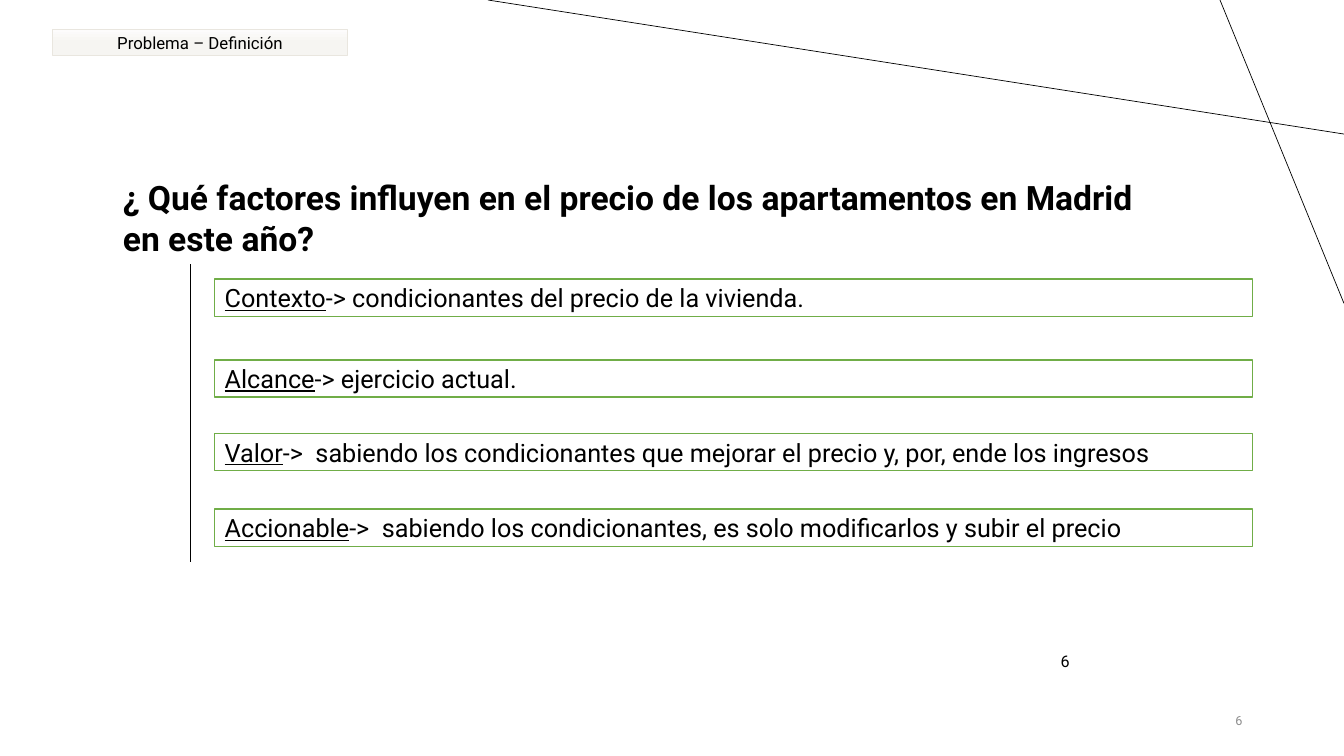
from copy import deepcopy

from lxml.etree import SubElement
from pptx import Presentation
from pptx.dml.color import RGBColor
from pptx.enum.shapes import MSO_CONNECTOR, MSO_SHAPE
from pptx.enum.text import MSO_ANCHOR as Anchor, PP_ALIGN as Align
from pptx.oxml.ns import qn
from pptx.util import Inches, Pt

BLACK = RGBColor(0x00, 0x00, 0x00)
WHITE = RGBColor(0xFF, 0xFF, 0xFF)
GRAY = RGBColor(0x8C, 0x8C, 0x8C)
GREEN = RGBColor(0x70, 0xAD, 0x47)
TAG_BORDER = RGBColor(0xE9, 0xE6, 0xDF)
TAG_STOPS = [
    (0, RGBColor(0xFD, 0xFC, 0xFC)),
    (0.5, RGBColor(0xF6, 0xF5, 0xF2)),
    (1, RGBColor(0xF5, 0xF3, 0xF0)),
]
FONT = "Roboto"
CRITERIA = [
    (2.77, "Contexto", "-> condicionantes del precio de la vivienda."),
    (3.57, "Alcance", "-> ejercicio actual."),
    (4.3, "Valor", "->  sabiendo los condicionantes que mejorar el precio y, por, ende los ingresos"),
    (5.05, "Accionable", "->  sabiendo los condicionantes, es solo modificarlos y subir el precio"),
]


def write(shape, text, size, color=BLACK, bold=False, align=Align.LEFT,
          anchor=Anchor.TOP, after=0, term=""):
    """Fill a shape with one paragraph, opened by an optional underlined term."""
    frame = shape.text_frame
    frame.word_wrap = True
    frame.vertical_anchor = anchor
    paragraph = frame.paragraphs[0]
    paragraph.alignment = align
    paragraph.space_after = Pt(after)
    for words, underline in ((term, True), (text, False)):
        if words:
            run = paragraph.add_run()
            run.text = words
            run.font.name = FONT
            run.font.size = Pt(size)
            run.font.bold = bold
            run.font.underline = underline
            run.font.color.rgb = color


def add_label(slide, box, text, **text_format):
    """Place a plain text box."""
    label = slide.shapes.add_textbox(*map(Inches, box))
    write(label, text, **text_format)


def add_rule(slide, start, end):
    """Draw a thin black line without shadow."""
    rule = slide.shapes.add_connector(
        MSO_CONNECTOR.STRAIGHT, *map(Inches, start + end))
    rule.line.color.rgb = BLACK
    rule.line.width = Pt(0.5)
    SubElement(rule._element.spPr, qn("a:effectLst"))


def add_panel(slide, box, border, weight):
    """Place a white rectangle with a coloured border."""
    panel = slide.shapes.add_shape(MSO_SHAPE.RECTANGLE, *map(Inches, box))
    panel.shadow.inherit = False
    panel.fill.solid()
    panel.fill.fore_color.rgb = WHITE
    panel.line.color.rgb = border
    panel.line.width = Pt(weight)
    return panel


def add_section_tag(slide, box, text):
    """Place the section name on a soft vertical gradient."""
    tag = add_panel(slide, box, TAG_BORDER, 0.5)
    tag.fill.gradient()
    tag.fill.gradient_angle = 270
    stop_list = tag._element.spPr.find(".//" + qn("a:gsLst"))
    stop_list.append(deepcopy(stop_list[0]))
    for stop, (position, color) in zip(tag.fill.gradient_stops, TAG_STOPS):
        stop.position = position
        stop.color.rgb = color
    write(tag, text, 12, align=Align.CENTER, anchor=Anchor.MIDDLE)


def add_criteria(slide, left, width, height):
    """Place the framed criteria beside their vertical rule."""
    rule_left = left - 0.24
    add_rule(slide, (rule_left, 2.62), (rule_left, 5.58))
    for top, term, meaning in CRITERIA:
        criterion = add_panel(slide, (left, top, width, height), GREEN, 1)
        write(criterion, meaning, 18, anchor=Anchor.MIDDLE, term=term)


def add_problem_slide(deck):
    """Build the slide that defines the problem."""
    slide = deck.slides.add_slide(deck.slide_layouts[6])
    add_rule(slide, (13.33, 1.33), (4.84, 0))
    add_rule(slide, (12.1, 0), (13.33, 3.01))
    add_label(slide, (11.34, 6.95, 1.08, 0.4), "6", size=9, color=GRAY,
              align=Align.RIGHT, anchor=Anchor.MIDDLE, after=6)
    add_label(slide, (10.42, 6.41, 0.69, 0.26), "6", size=11.5, after=6)
    add_label(slide, (1.12, 1.71, 10.22, 0.91),
              "¿ Qué factores influyen en el precio de los apartamentos en Madrid en este año?",
              size=24, bold=True)
    add_section_tag(slide, (0.52, 0.29, 2.93, 0.26), "Problema – Definición")
    add_criteria(slide, 2.13, 10.29, 0.37)


def main():
    """Create and save the presentation."""
    deck = Presentation()
    deck.slide_width = Inches(13.33)
    deck.slide_height = Inches(7.5)
    add_problem_slide(deck)
    deck.save("out.pptx")


if __name__ == "__main__":
    main()
